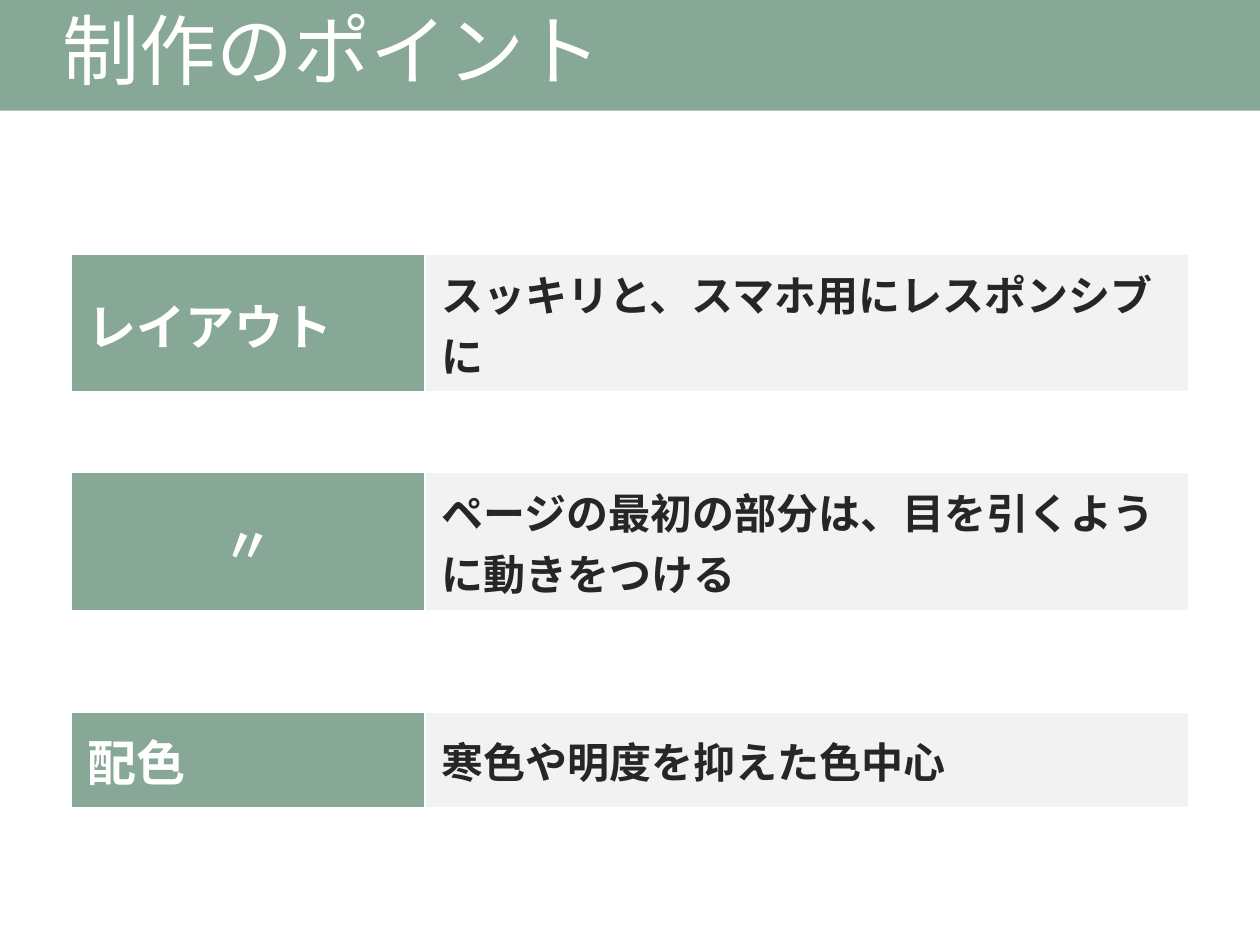
from dataclasses import dataclass

from lxml import etree
from pptx import Presentation
from pptx.dml.color import RGBColor
from pptx.enum.shapes import MSO_SHAPE
from pptx.enum.text import MSO_ANCHOR, PP_ALIGN
from pptx.oxml.ns import qn
from pptx.slide import Slide
from pptx.table import _Cell
from pptx.text.text import TextFrame
from pptx.util import Pt

RECT = MSO_SHAPE.RECTANGLE
MIDDLE = MSO_ANCHOR.MIDDLE
LEFT, CENTER = PP_ALIGN.LEFT, PP_ALIGN.CENTER

GREEN = RGBColor(0x87, 0xA8, 0x96)
GRAY = RGBColor(0xF2, 0xF2, 0xF2)
DARK = RGBColor(0x26, 0x26, 0x26)
WHITE = RGBColor(0xFF, 0xFF, 0xFF)

WIDTH, HEIGHT = 720, 540
EDGE = 40.5
COLS = (202.3, 436.3)
ROW = 55.4
INSETS = {
    "margin_left": Pt(9.4),
    "margin_right": Pt(9.4),
    "margin_top": Pt(5),
    "margin_bottom": Pt(5),
    "vertical_anchor": MIDDLE,
}
BORDERS = {"a:lnL": 1, "a:lnR": 1, "a:lnT": 1, "a:lnB": 3}


@dataclass(frozen=True)
class Style:
    name: str
    size: float
    bold: bool
    color: RGBColor


@dataclass(frozen=True)
class Point:
    top: float
    label: str
    text: str
    align: PP_ALIGN = LEFT


TITLE = Style("Cambria", 44, False, WHITE)
LABEL = Style("Calibri", 28, True, WHITE)
BODY = Style("Calibri", 24, True, DARK)

POINTS = (
    Point(145.4, "レイアウト", "スッキリと、スマホ用にレスポンシブに"),
    Point(406.8, "配色", "寒色や明度を抑えた色中心"),
    Point(270, "〃", "ページの最初の部分は、目を引くように動きをつける", CENTER),
)


def write(frame: TextFrame, text: str, style: Style, align: PP_ALIGN) -> None:
    para = frame.paragraphs[0]
    para.alignment = align
    run = para.add_run()
    run.text = text
    values = {"name": style.name, "size": Pt(style.size), "bold": style.bold}
    for key, value in values.items():
        setattr(run.font, key, value)
    run.font.color.rgb = style.color


def add_borders(cell: _Cell) -> None:
    """Put white lines ahead of the fill, as the schema orders them."""
    props = cell._tc.get_or_add_tcPr()
    for spot, (tag, width) in enumerate(BORDERS.items()):
        line = etree.Element(qn(tag), w=str(Pt(width)))
        fill = etree.SubElement(line, qn("a:solidFill"))
        etree.SubElement(fill, qn("a:srgbClr"), val=str(WHITE))
        props.insert(spot, line)


def fill_cell(cell: _Cell, text: str, style: Style,
              fill: RGBColor, align: PP_ALIGN) -> None:
    for key, value in INSETS.items():
        setattr(cell, key, value)
    cell.fill.solid()
    cell.fill.fore_color.rgb = fill
    add_borders(cell)
    write(cell.text_frame, text, style, align)


def add_title(slide: Slide, text: str) -> None:
    band = slide.shapes.add_shape(RECT, Pt(0), Pt(-0.7), Pt(WIDTH), Pt(64))
    band.shadow.inherit = False
    band.fill.solid()
    band.fill.fore_color.rgb = GREEN
    band.line.fill.background()
    frame = band.text_frame
    frame.word_wrap = True
    frame.vertical_anchor = MIDDLE
    frame.margin_left = Pt(36)
    write(frame, text, TITLE, LEFT)
    frame.paragraphs[0].line_spacing = 0.9


def add_point(slide: Slide, point: Point) -> None:
    table = slide.shapes.add_table(
        1, len(COLS), Pt(EDGE), Pt(point.top), Pt(sum(COLS)), Pt(ROW)
    ).table
    table.first_row = False
    table.horz_banding = False
    for col, width in zip(table.columns, COLS):
        col.width = Pt(width)
    fill_cell(table.cell(0, 0), point.label, LABEL, GREEN, point.align)
    fill_cell(table.cell(0, 1), point.text, BODY, GRAY, LEFT)


def main() -> None:
    deck = Presentation()
    deck.slide_width, deck.slide_height = Pt(WIDTH), Pt(HEIGHT)
    slide = deck.slides.add_slide(deck.slide_layouts[6])
    add_title(slide, "制作のポイント")
    for point in POINTS:
        add_point(slide, point)
    deck.save("out.pptx")


if __name__ == "__main__":
    main()
